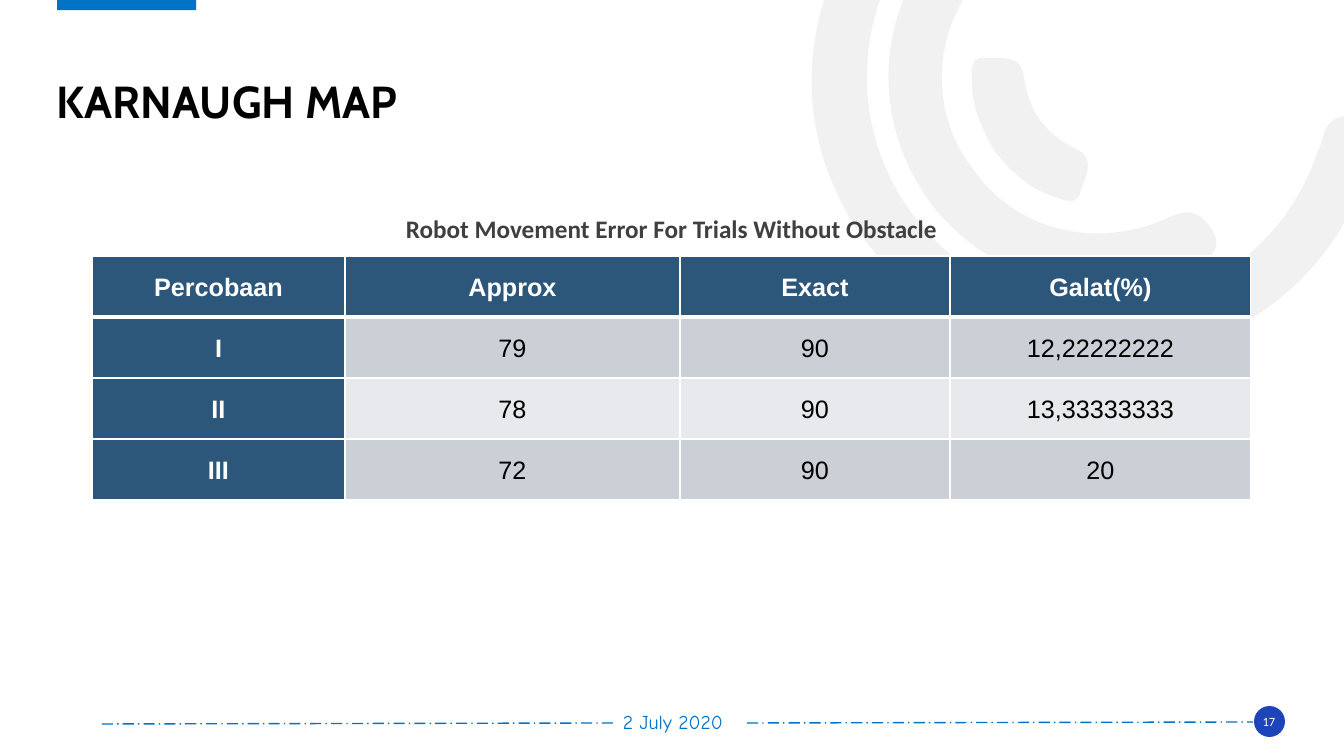
from dataclasses import dataclass
from math import cos, radians, sin

from lxml.etree import SubElement
from pptx import Presentation
from pptx.dml.color import RGBColor
from pptx.enum.dml import MSO_LINE
from pptx.enum.shapes import MSO_CONNECTOR, MSO_SHAPE
from pptx.enum.text import MSO_ANCHOR, PP_ALIGN
from pptx.oxml import parse_xml
from pptx.oxml.ns import nsdecls, qn
from pptx.util import Emu, Inches, Pt

PX_PER_INCH = 100.8


def px(length):
    return Emu(round(length * 914400 / PX_PER_INCH))


@dataclass(frozen=True)
class Theme:
    accent: str = "0072C7"
    badge: str = "1E44BC"
    header: str = "2C567A"
    odd_row: str = "CBD0D6"
    even_row: str = "E7E9EC"
    ring: str = "E7E6E6"
    caption: str = "3F3F3F"
    black: str = "000000"
    white: str = "FFFFFF"
    ring_opacity: int = 53
    ring_angle: float = 324.2
    title_size: int = 32
    body_size: int = 18
    date_size: int = 14
    number_size: int = 9
    title_font: str = "Cabin"
    text_font: str = "Calibri"
    table_font: str = "Arial"
    date_font: str = "Comic Neue"


# Each ring part: a start point, then cubic curves of two handles and an end point.
RINGS = [
    [(858, 231),
     (805, 150), (793, 50), (845, -50), (897, -153), (984, -205), (1099, -209),
     (1114, -209), (1130, -212), (1140, -197), (1153, -176), (1136, -155), (1107, -155),
     (975, -155), (872, -59), (867, 69), (863, 182), (944, 283), (1054, 304),
     (1169, 327), (1280, 263), (1317, 153), (1319, 149), (1321, 145), (1322, 141),
     (1326, 120), (1338, 112), (1360, 118), (1384, 125), (1378, 142), (1372, 157),
     (1345, 247), (1288, 309), (1200, 344), (1079, 390), (943, 348), (858, 231)],
    [(929, 201),
     (869, 116), (876, 7), (948, -69), (959, -80), (970, -96), (988, -79),
     (1003, -65), (1005, -50), (987, -32), (932, 26), (927, 109), (973, 169),
     (1016, 231), (1097, 251), (1170, 217), (1191, 207), (1202, 214), (1213, 231),
     (1223, 252), (1209, 258), (1194, 265), (1104, 312), (991, 284), (929, 201)],
    [(995, 152),
     (983, 131), (972, 108), (972, 83), (972, 74), (969, 57), (984, 58),
     (1000, 59), (1021, 53), (1024, 77), (1029, 111), (1044, 133), (1076, 149),
     (1097, 158), (1085, 177), (1081, 191), (1077, 207), (1064, 200), (1053, 196),
     (1029, 189), (1011, 171), (995, 152)],
]

TRIALS = [
    ("Percobaan", "Approx", "Exact", "Galat(%)"),
    ("I", "79", "90", "12,22222222"),
    ("II", "78", "90", "13,33333333"),
    ("III", "72", "90", "20"),
]


def turn(x, y, degrees):
    """Turn a point clockwise about the slide's top left corner."""
    angle = radians(degrees)
    return x * cos(angle) - y * sin(angle), x * sin(angle) + y * cos(angle)


class SlideBuilder:
    def __init__(self, slide, theme):
        self.shapes = slide.shapes
        self.theme = theme

    def paint(self, fill, color):
        fill.solid()
        fill.fore_color.rgb = RGBColor.from_string(color)

    def finish(self, shape, color):
        self.paint(shape.fill, color)
        shape.line.fill.background()
        shape.shadow.inherit = False

    def block(self, preset, left, top, width, height, color):
        shape = self.shapes.add_shape(preset, px(left), px(top), px(width), px(height))
        self.finish(shape, color)
        return shape

    def ring(self, points):
        """Draw a rotated translucent outline, each three points after the first a curve."""
        angle = self.theme.ring_angle
        start, *rest = [turn(px(x), px(y), -angle) for x, y in points]
        builder = self.shapes.build_freeform(*start)
        builder.add_line_segments(rest, close=True)
        outline = builder.convert_to_shape()
        center = turn(outline.left + outline.width / 2, outline.top + outline.height / 2, angle)
        outline.left = Emu(round(center[0] - outline.width / 2))
        outline.top = Emu(round(center[1] - outline.height / 2))
        outline.rotation = angle
        self.finish(outline, self.theme.ring)
        tint = next(outline._element.spPr.iter(qn("a:srgbClr")))
        SubElement(tint, qn("a:alpha"), val=str(self.theme.ring_opacity * 1000))
        self.bend(outline)

    def bend(self, outline):
        """Turn each three straight segments into one cubic curve."""
        segments = list(outline._element.iter(qn("a:lnTo")))
        for first in range(0, len(rest := segments) // 3 * 3, 3):
            curve = parse_xml(f'<a:cubicBezTo {nsdecls("a")}/>')
            rest[first].addprevious(curve)
            for segment in rest[first:first + 3]:
                curve.append(segment[0])
                segment.getparent().remove(segment)

    def style(self, paragraph, font, size, color, bold=False, align=PP_ALIGN.CENTER, spacing=None):
        paragraph.alignment = align
        paragraph.line_spacing = spacing
        for run in paragraph.runs:
            run.font.name = font
            run.font.size = Pt(size)
            run.font.bold = bold
            run.font.color.rgb = RGBColor.from_string(color)

    def text(self, words, left, top, width, height, font, size, color,
             anchor=MSO_ANCHOR.TOP, inset=True, wrap=True, **paragraph_style):
        box = self.shapes.add_textbox(px(left), px(top), px(width), px(height))
        frame = box.text_frame
        frame.word_wrap = wrap
        frame.vertical_anchor = anchor
        if not inset:
            frame.margin_left = frame.margin_right = 0
            frame.margin_top = frame.margin_bottom = 0
        frame.text = words
        self.style(frame.paragraphs[0], font, size, color, **paragraph_style)

    def dashed_line(self, x1, y1, x2, y2):
        line = self.shapes.add_connector(MSO_CONNECTOR.STRAIGHT, px(x1), px(y1), px(x2), px(y2))
        line.line.color.rgb = RGBColor.from_string(self.theme.accent)
        line.line.width = Pt(1)
        line.line.dash_style = MSO_LINE.LONG_DASH_DOT
        SubElement(line._element.spPr, qn("a:effectLst"))

    def borders(self, cell, **widths):
        """Add white cell borders ahead of the cell's fill; widths are points by side."""
        properties = cell._tc.get_or_add_tcPr()
        for index, side in enumerate("LRTB"):
            width = Pt(widths.get(side, 1))
            properties.insert(index, parse_xml(
                f'<a:ln{side} {nsdecls("a")} w="{width}"><a:solidFill>'
                f'<a:srgbClr val="{self.theme.white}"/></a:solidFill></a:ln{side}>'))

    def table(self, rows, left, top, column_widths, row_height):
        theme = self.theme
        table = self.shapes.add_table(
            len(rows), len(column_widths), px(left), px(top),
            px(sum(column_widths)), px(row_height * len(rows))).table
        table.first_row = table.horz_banding = False
        for column, width in zip(table.columns, column_widths):
            column.width = px(width)
        for r, values in enumerate(rows):
            table.rows[r].height = px(row_height)
            band = theme.odd_row if r % 2 else theme.even_row
            for c, value in enumerate(values):
                heading = r == 0 or c == 0
                cell = table.cell(r, c)
                cell.text = value
                cell.vertical_anchor = MSO_ANCHOR.MIDDLE
                cell.margin_left = cell.margin_right = Inches(0.07)
                cell.margin_top = cell.margin_bottom = 0
                self.paint(cell.fill, theme.header if heading else band)
                self.borders(cell, T=3 if r == 1 else 1, B=3 if r == 0 else 1)
                self.style(cell.text_frame.paragraphs[0], theme.table_font, theme.body_size,
                           theme.white if heading else theme.black, bold=heading, spacing=1.07)


def main():
    deck = Presentation()
    deck.slide_width, deck.slide_height = px(1344), px(756)
    theme = Theme()
    slide = SlideBuilder(deck.slides.add_slide(deck.slide_layouts[6]), theme)

    for points in RINGS:
        slide.ring(points)
    slide.block(MSO_SHAPE.RECTANGLE, 57, -2, 139, 12, theme.accent).rotation = 180
    slide.block(MSO_SHAPE.OVAL, 1254, 706, 31, 31, theme.badge)
    slide.text("17", 1253, 712, 32, 20, theme.text_font, theme.number_size, theme.white,
               anchor=MSO_ANCHOR.MIDDLE, inset=False)
    slide.table(TRIALS, 92, 256, (253, 335, 270, 301), 61)
    slide.text("KARNAUGH MAP", 57, 27, 1229, 101, theme.title_font, theme.title_size, theme.black,
               anchor=MSO_ANCHOR.BOTTOM, inset=False, bold=True, align=PP_ALIGN.LEFT, spacing=0.9)
    slide.block(MSO_SHAPE.RECTANGLE, 49, 679, 122, 64, theme.white)
    slide.text("Robot Movement Error For Trials Without Obstacle", 327, 208, 689, 40,
               theme.text_font, theme.body_size, theme.caption, bold=True)
    slide.text("2 July 2020", 613, 705, 133, 34, theme.date_font, theme.date_size, theme.accent,
               wrap=False, align=PP_ALIGN.LEFT)
    slide.dashed_line(613, 723, 98, 724)
    slide.dashed_line(747, 723, 1253, 722)
    deck.save("out.pptx")


if __name__ == "__main__":
    main()
